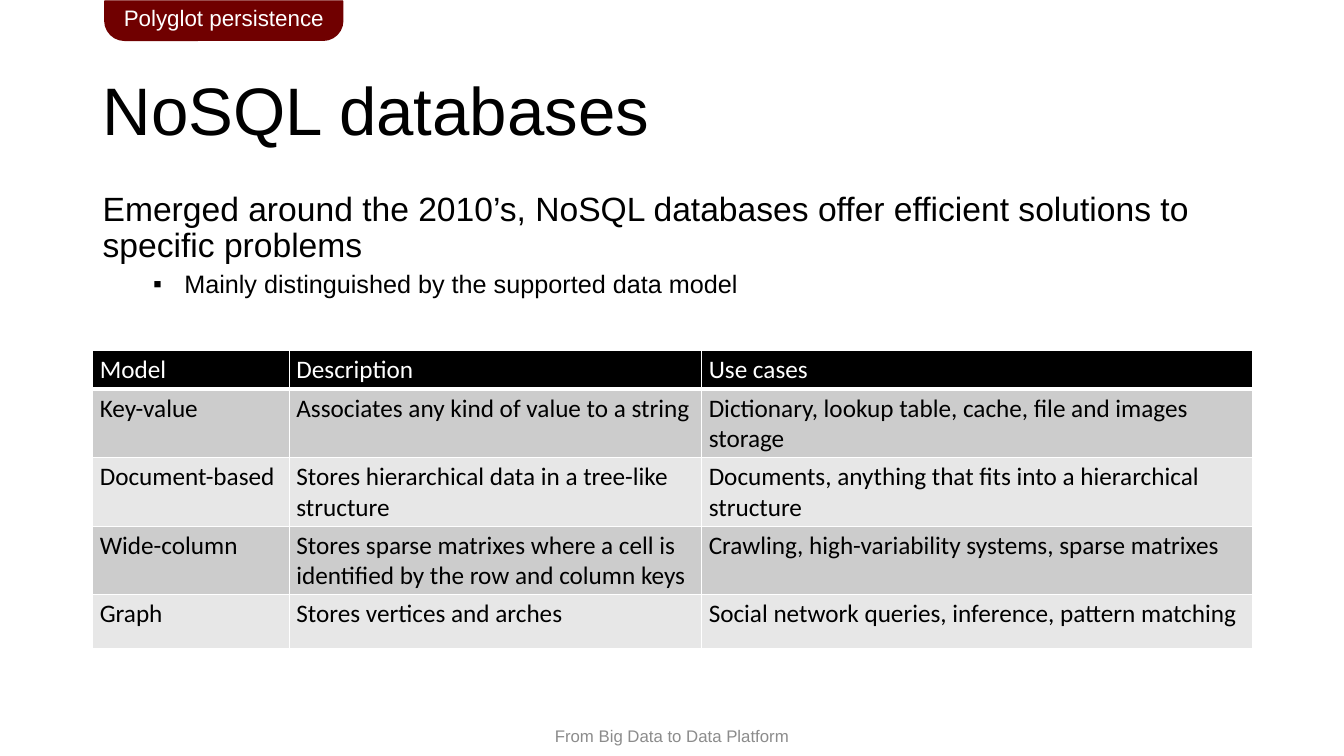
"""Build the slide on NoSQL databases with its table of data models."""
from dataclasses import dataclass

from lxml.etree import SubElement
from pptx import Presentation
from pptx.dml.color import RGBColor
from pptx.enum.shapes import MSO_SHAPE
from pptx.enum.text import MSO_ANCHOR, PP_ALIGN
from pptx.oxml.ns import qn
from pptx.util import Inches, Pt


@dataclass(frozen=True)
class Theme:
    """Hold the colours, fonts and type sizes."""
    black: str = "000000"
    white: str = "FFFFFF"
    grey: str = "8C8C8C"
    red: str = "700000"
    bands: tuple = ("CCCCCC", "E7E7E7")
    sans: str = "Arial"
    grid: str = "Calibri"
    title: int = 48
    lead: int = 24
    text: int = 18
    tab: int = 16
    foot: int = 12


theme = Theme()


def write(para, text, size, color=theme.black, font=theme.sans,
          align=PP_ALIGN.LEFT, line=None, before=None, bullet=None):
    """Put formatted text in a paragraph."""
    if bullet:
        props = para._p.get_or_add_pPr()
        props.set("marL", str(Inches(0.81)))
        props.set("indent", str(Inches(-0.31)))
        SubElement(props, qn("a:buFont")).set("typeface", theme.sans)
        SubElement(props, qn("a:buChar")).set("char", bullet)
    para.alignment = align
    if line:
        para.line_spacing = line
    if before:
        para.space_before = Pt(before)
    run = para.add_run()
    run.text = text
    run.font.size = Pt(size)
    run.font.name = font
    run.font.bold = False
    run.font.color.rgb = RGBColor.from_string(color)


def add_box(left, top, width, height, anchor=MSO_ANCHOR.MIDDLE):
    """Add a wrapped text box and return its frame."""
    box = slide.shapes.add_textbox(
        Inches(left), Inches(top), Inches(width), Inches(height))
    box.text_frame.word_wrap = True
    box.text_frame.vertical_anchor = anchor
    return box.text_frame


deck = Presentation()
deck.slide_width = Inches(13.33)
deck.slide_height = Inches(7.5)
slide = deck.slides.add_slide(deck.slide_layouts[6])

foot = add_box(4.79, 7.1, 3.75, 0.4)
write(foot.paragraphs[0], "From Big Data to Data Platform", theme.foot,
      color=theme.grey, align=PP_ALIGN.CENTER)

title = add_box(0.92, 0.4, 11.5, 1.45)
write(title.paragraphs[0], "NoSQL databases", theme.title, line=0.9)

body = add_box(0.92, 1.86, 11.5, 4.76, anchor=MSO_ANCHOR.TOP)
write(body.paragraphs[0],
      "Emerged around the 2010’s, NoSQL databases offer efficient solutions "
      "to specific problems", theme.lead, line=0.9)
point = body.add_paragraph()
point.level = 1
write(point, "Mainly distinguished by the supported data model", theme.text,
      line=0.9, before=5, bullet="▪")

models = [
    ("Model", "Description", "Use cases"),
    ("Key-value", "Associates any kind of value to a string",
     "Dictionary, lookup table, cache, file and images storage"),
    ("Document-based", "Stores hierarchical data in a tree-like structure",
     "Documents, anything that fits into a hierarchical structure"),
    ("Wide-column",
     "Stores sparse matrixes where a cell is identified by the row and "
     "column keys",
     "Crawling, high-variability systems, sparse matrixes"),
    ("Graph", "Stores vertices and arches",
     "Social network queries, inference, pattern matching"),
]
widths = (1.95, 4.09, 5.46)
table = slide.shapes.add_table(
    len(models), len(widths), Inches(0.92), Inches(3.48),
    Inches(11.5), Inches(2.92)).table
for col, width in zip(table.columns, widths):
    col.width = Inches(width)

for i, model in enumerate(models):
    head = i == 0
    table.rows[i].height = Inches(0.3 if head else 0.53)
    for j, text in enumerate(model):
        cell = table.cell(i, j)
        cell.margin_left = cell.margin_right = Inches(0.07)
        cell.margin_top = cell.margin_bottom = Inches(0.04)
        write(cell.text_frame.paragraphs[0], text, theme.text,
              color=theme.white if head else theme.black, font=theme.grid)
        props = cell._tc.get_or_add_tcPr()
        for side in "LRTB":
            thick = (head and side == "B") or (i == 1 and side == "T")
            edge = SubElement(props, qn(f"a:ln{side}"))
            edge.set("w", str(Pt(3 if thick else 1)))
            paint = SubElement(edge, qn("a:solidFill"))
            SubElement(paint, qn("a:srgbClr")).set("val", theme.white)
        cell.fill.solid()
        shade = theme.black if head else theme.bands[(i - 1) % 2]
        cell.fill.fore_color.rgb = RGBColor.from_string(shade)

tab = slide.shapes.add_shape(
    MSO_SHAPE.ROUND_2_SAME_RECTANGLE,
    Inches(1.04), Inches(0.01), Inches(2.36), Inches(0.39))
tab.adjustments[0] = 0
tab.adjustments[1] = 0.5
tab.shadow.inherit = False
tab.fill.solid()
tab.fill.fore_color.rgb = RGBColor.from_string(theme.red)
tab.line.color.rgb = RGBColor.from_string(theme.red)
tab.line.width = Pt(1)
tab.text_frame.vertical_anchor = MSO_ANCHOR.MIDDLE
write(tab.text_frame.paragraphs[0], "Polyglot persistence", theme.tab,
      color=theme.white, align=PP_ALIGN.CENTER)

deck.save("out.pptx")
